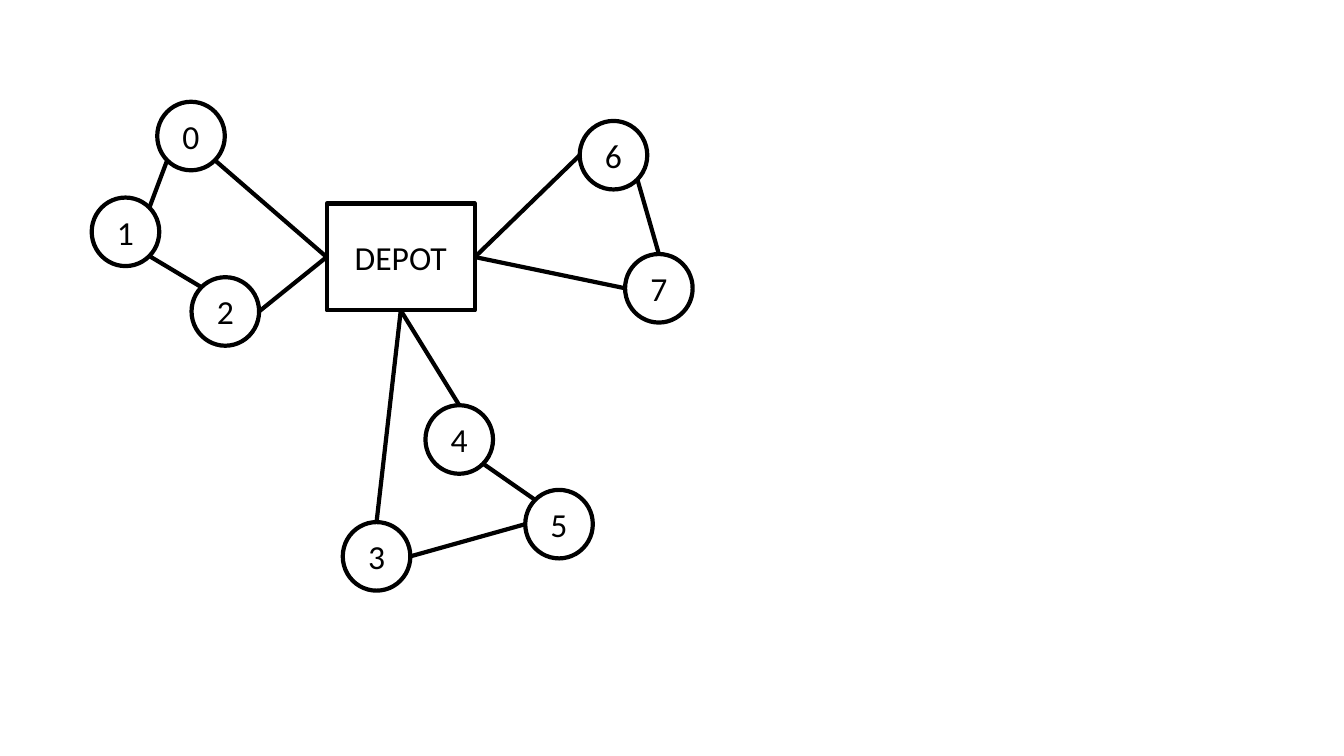
from math import cos, radians, sin

from lxml.etree import SubElement
from pptx import Presentation
from pptx.dml.color import RGBColor
from pptx.enum.shapes import MSO_CONNECTOR, MSO_SHAPE
from pptx.enum.text import MSO_ANCHOR, PP_ALIGN
from pptx.oxml.ns import qn
from pptx.util import Inches, Pt

BLACK = "000000"
STOP_WIDTH, STOP_HEIGHT = 0.67, 0.68
DEPOT = (2.33, 1.01, 1.47, 1.06)
LEFT, BOTTOM, RIGHT = 1, 2, 3
STOPS = {
    "0": (0.65, 0), "1": (0, 0.95), "2": (0.99, 1.74), "3": (2.49, 4.17),
    "4": (3.31, 3.01), "5": (4.3, 3.85), "6": (4.84, 0.19), "7": (5.29, 1.51),
}
STOP_LINKS = [
    ("2", 225, "1", 45), ("1", 315, "0", 135), ("5", 225, "4", 45),
    ("5", 180, "3", 0), ("7", 270, "6", 45),
]
DEPOT_LINKS = [
    (LEFT, "0", 45), (LEFT, "2", 0), (BOTTOM, "4", 270),
    (BOTTOM, "3", 270), (RIGHT, "6", 180), (RIGHT, "7", 180),
]


def color(value):
    """Return the colour for a hex string."""
    return RGBColor.from_string(value)


def write_text(shape, text, size=24, font="Calibri", fill=BLACK):
    """Put centred, formatted text into a shape."""
    frame = shape.text_frame
    frame.margin_left = frame.margin_right = 0
    frame.word_wrap = True
    frame.vertical_anchor = MSO_ANCHOR.MIDDLE
    paragraph = frame.paragraphs[0]
    paragraph.alignment = PP_ALIGN.CENTER
    run = paragraph.add_run()
    run.text = text
    run.font.size = Pt(size)
    run.font.name = font
    run.font.color.rgb = color(fill)


def outline(item):
    """Give a shape or connector the black graph line."""
    item.line.color.rgb = color(BLACK)
    item.line.width = Pt(3)


def add_node(slide, kind, text, left, top, width, height):
    """Add an unfilled, labelled node."""
    shape = slide.shapes.add_shape(
        kind, Inches(left), Inches(top), Inches(width), Inches(height))
    shape.shadow.inherit = False
    shape.fill.background()
    outline(shape)
    write_text(shape, text)
    return shape


def add_link(slide, begin, end):
    """Add a straight link between two points."""
    connector = slide.shapes.add_connector(MSO_CONNECTOR.STRAIGHT, *begin, *end)
    outline(connector)
    SubElement(connector._element.spPr, qn("a:effectLst"))
    return connector


def rim_point(stop, angle):
    """Return the point on a stop's rim at a clockwise angle from the right."""
    turn = radians(angle)
    return (round(stop.left + stop.width * (1 + cos(turn)) / 2),
            round(stop.top + stop.height * (1 + sin(turn)) / 2))


def add_routes(slide, left, top):
    """Draw the depot, its stops and the routes from the given corner."""
    stops = {
        name: add_node(slide, MSO_SHAPE.OVAL, name, left + x, top + y,
                       STOP_WIDTH, STOP_HEIGHT)
        for name, (x, y) in STOPS.items()
    }
    x, y, width, height = DEPOT
    depot = add_node(slide, MSO_SHAPE.RECTANGLE, "DEPOT",
                     left + x, top + y, width, height)
    for first, first_angle, second, second_angle in STOP_LINKS:
        add_link(slide, rim_point(stops[first], first_angle),
                 rim_point(stops[second], second_angle))
    for side, name, angle in DEPOT_LINKS:
        end = rim_point(stops[name], angle)
        add_link(slide, end, end).begin_connect(depot, side)


def main():
    """Build and save the presentation."""
    presentation = Presentation()
    presentation.slide_width = Inches(13.33)
    presentation.slide_height = Inches(7.5)
    slide = presentation.slides.add_slide(presentation.slide_layouts[6])
    add_routes(slide, 0.91, 1.01)
    presentation.save("out.pptx")


if __name__ == "__main__":
    main()
